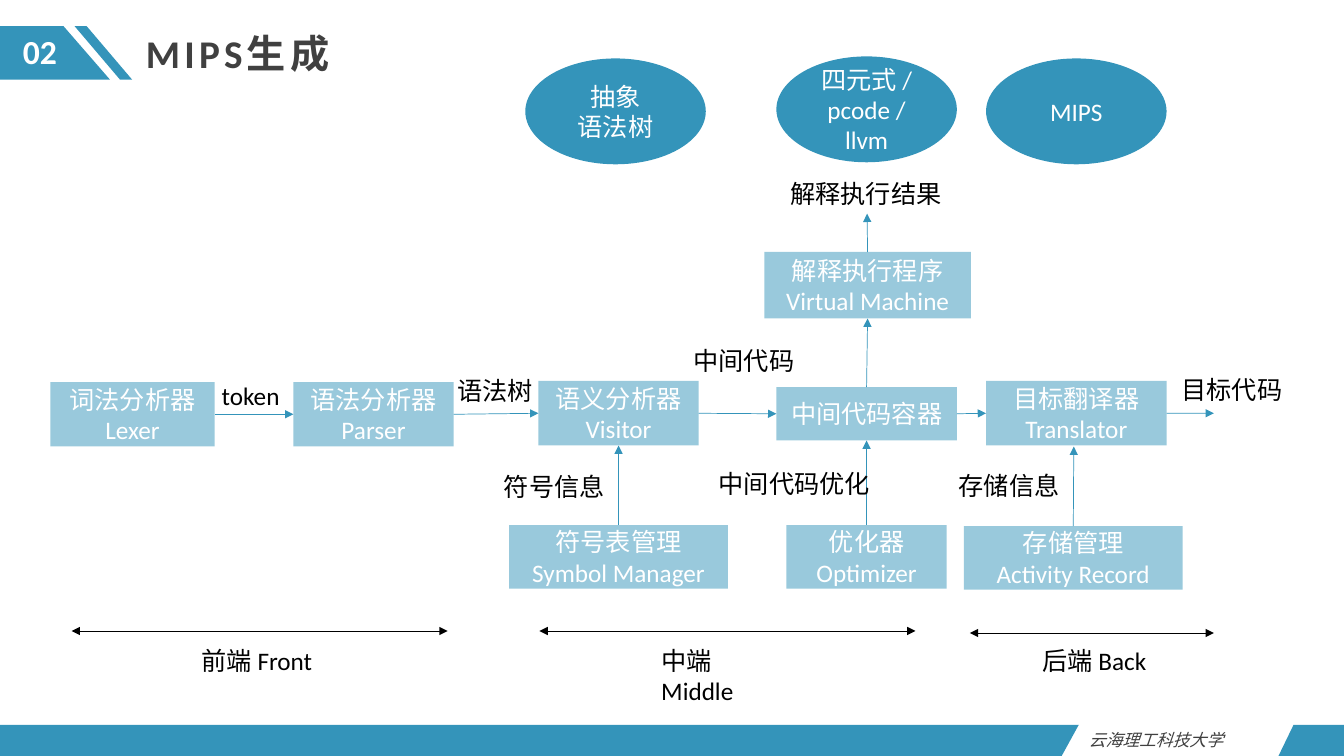
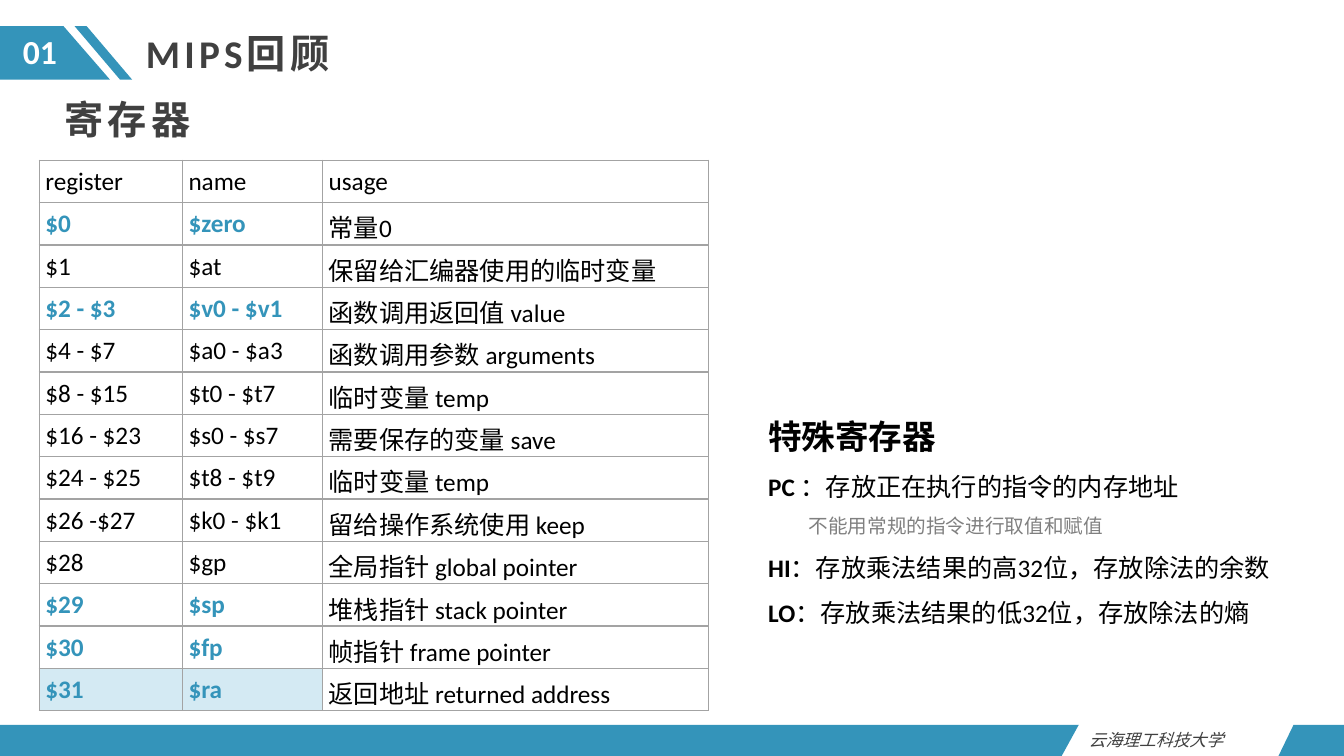
from lxml.etree import SubElement as Sub
from pptx import Presentation
from pptx.dml.color import RGBColor as RGB
from pptx.enum.shapes import MSO_CONNECTOR as Conn, MSO_SHAPE as Kind
from pptx.enum.text import MSO_ANCHOR as Anchor, MSO_AUTO_SIZE as Auto, PP_ALIGN as Align
from pptx.oxml.ns import qn
from pptx.util import Inches, Pt

COLORS = {"blue": "3494BA", "pale": "D4EAF3", "white": "FFFFFF", "black": "000000",
          "dark": "404040", "gray": "808080", "rule": "A3A3A3"}
BODY = {"name": "Calibri", "size": Pt(18), "bold": False, "color": "black"}
TITLE = {"size": Pt(28), "bold": True, "color": "dark", "spc": 300}
BADGE = {"size": Pt(24), "bold": True, "color": "white"}
FOOT = {"size": Pt(12), "italic": True, "color": "dark"}
WHITE = {"color": "white"}
BOLD = {"bold": True}
KEY = {"bold": True, "color": "blue"}
TOP, LEFT, BOTTOM, RIGHT = range(4)

BANDS = [
    [(0, 0.26), (0.63, 0.26), (1.09, 0.79), (0, 0.79)],
    [(0.86, 0.26), (1.31, 0.79), (1.19, 0.79), (0.74, 0.26)],
    [(0, 7.19), (10.7, 7.19), (10.53, 7.5), (0, 7.5)],
    [(12.83, 7.19), (13.33, 7.19), (13.33, 7.5), (12.68, 7.5)],
]

NODES = {
    "lexer": ((0.5, 3.79, 1.63, 0.64), ["词法分析器", "Lexer"]),
    "parser": ((2.91, 3.79, 1.59, 0.64), ["语法分析器", "Parser"]),
    "visitor": ((5.34, 3.78, 1.59, 0.64), ["语义分析器", "Visitor"]),
    "code": ((7.7, 3.84, 1.79, 0.53), ["中间代码容器"]),
    "target": ((9.78, 3.78, 1.79, 0.64), ["目标翻译器", "Translator"]),
    "machine": ((7.58, 2.5, 2.05, 0.66), ["解释执行程序", "Virtual Machine"]),
    "symbols": ((5.05, 5.21, 2.17, 0.63), ["符号表管理Symbol Manager"]),
    "tuner": ((7.8, 5.21, 1.59, 0.63), ["优化器", "Optimizer"]),
    "store": ((9.56, 5.22, 2.17, 0.63), ["存储管理", "Activity Record"]),
}
# Each end is a point or a (node, side) pair.
LINKS = [
    (("lexer", RIGHT), ("parser", LEFT)),
    (("parser", RIGHT), ("visitor", LEFT)),
    (("visitor", RIGHT), ("code", LEFT)),
    (("code", RIGHT), ("target", LEFT)),
    (("target", RIGHT), (12.04, 4.1)),
    (("code", TOP), ("machine", BOTTOM)),
    (("machine", TOP), (8.6, 2.12)),
    (("tuner", TOP), ("code", BOTTOM)),
    (("symbols", TOP), ("visitor", BOTTOM)),
    (("store", TOP), (10.65, 4.43)),
]
LABELS = [
    ("token", 2.1, 3.72, 0.82), ("语法树", 4.44, 3.67, 0.96),
    ("中间代码", 6.78, 3.38, 1.21), ("解释执行结果", 7.74, 1.72, 1.72),
    ("中间代码优化", 7.03, 4.6, 1.72), ("目标代码", 11.62, 3.66, 1.21),
    ("符号信息", 4.9, 4.63, 1.21), ("存储信息", 9.41, 4.62, 1.21),
    ("前端 Front", 1.9, 6.35, 1.37), ("后端 Back", 10.24, 6.35, 1.34),
]
SPANS = [(0.71, 4.44, 6.26), (5.35, 9.08, 6.26), (9.62, 12.04, 6.28)]
FORMS = [
    (5.21, 0.58, ["抽象", "语法树"]),
    (7.7, 0.56, ["四元式 / pcode / llvm"]),
    (9.78, 0.58, ["MIPS"]),
]
ROWS = [
    ("register", "name", "usage"),
    ("$0", "$zero", "常量0"),
    ("$1", "$at", "保留给汇编器使用的临时变量"),
    ("$2 - $3", "$v0 - $v1", "函数调用返回值 value"),
    ("$4 - $7", "$a0 - $a3", "函数调用参数 arguments"),
    ("$8 - $15", "$t0 - $t7", "临时变量 temp"),
    ("$16 - $23", "$s0 - $s7", "需要保存的变量 save"),
    ("$24 - $25", "$t8 - $t9", "临时变量 temp"),
    ("$26 -$27", "$k0 - $k1", "留给操作系统使用 keep"),
    ("$28", "$gp", "全局指针 global pointer"),
    ("$29", "$sp", "堆栈指针 stack pointer"),
    ("$30", "$fp", "帧指针 frame pointer"),
    ("$31", "$ra", "返回地址 returned address"),
]
KEYS = {"$0", "$2 - $3", "$29", "$30", "$31"}
NOTES = [
    [("特殊寄存器", {"size": Pt(24), "bold": True})],
    [("PC ", BOLD), ("：存放正在执行的指令的内存地址", {})],
    [("不能用常规的指令进行取值和赋值", {"size": Pt(14), "color": "gray"})],
    [("HI", BOLD), ("：存放乘法结果的高32位，存放除法的余数", {})],
    [("LO", BOLD), ("：存放乘法结果的低32位，存放除法的熵", {})],
]


def color(name):
    return RGB.from_string(COLORS[name])


class Deck:
    def __init__(self):
        self.prs = Presentation()
        self.prs.slide_width, self.prs.slide_height = Inches(13.33), Inches(7.5)

    def start(self, num, title):
        """Add a slide with the shared bands, badge, title and footer."""
        self.shapes = self.prs.slides.add_slide(self.prs.slide_layouts[6]).shapes
        for pts in BANDS:
            self.band(pts)
        self.text((0, 0.26, 0.79, 0.5), [num], BADGE, Align.CENTER)
        self.text((1.35, 0.24, 3.54, 0.57), [title], TITLE)
        self.text((10.7, 7.19, 1.98, 0.3), ["云海理工科技大学"], FOOT, Align.JUSTIFY)

    def put(self, frame, paras, style, align=None):
        """Fill a frame; a paragraph is a string or a list of (text, format) runs."""
        for i, para in enumerate(paras):
            par = frame.add_paragraph() if i else frame.paragraphs[0]
            par.alignment = align
            for text, extra in [(para, {})] if isinstance(para, str) else para:
                run = par.add_run()
                run.text = text
                for key, val in {**BODY, **style, **extra}.items():
                    if key == "color":
                        run.font.color.rgb = color(val)
                    elif key == "spc":
                        run._r.get_or_add_rPr().set("spc", str(val))
                    else:
                        setattr(run.font, key, val)

    def text(self, box, paras, style={}, align=None, wrap=True):
        frame = self.shapes.add_textbox(*map(Inches, box)).text_frame
        frame.word_wrap = wrap
        frame.auto_size = Auto.SHAPE_TO_FIT_TEXT
        self.put(frame, paras, style, align)
        return frame

    def paint(self, shape, alpha=None):
        shape.shadow.inherit = False
        shape.line.fill.background()
        shape.fill.solid()
        shape.fill.fore_color.rgb = color("blue")
        if alpha:
            tone = shape._element.spPr.find(qn("a:solidFill"))[0]
            Sub(tone, qn("a:alpha"), val=str(alpha * 1000))

    def band(self, pts):
        pts = [(Inches(x), Inches(y)) for x, y in pts]
        form = self.shapes.build_freeform(*pts[0])
        form.add_line_segments(pts[1:], close=True)
        self.paint(form.convert_to_shape())

    def node(self, box, paras, kind=Kind.RECTANGLE, alpha=None):
        shape = self.shapes.add_shape(kind, *map(Inches, box))
        self.paint(shape, alpha)
        frame = shape.text_frame
        frame.word_wrap = True
        frame.vertical_anchor = Anchor.MIDDLE
        self.put(frame, paras, WHITE, Align.CENTER)
        return shape

    def arrow(self, start, end, tone="blue", both=False):
        """Draw an arrow; each end is a point or a (shape, side) pair."""
        free = [(0, 0) if hasattr(p[0], "shape_id") else p for p in (start, end)]
        line = self.shapes.add_connector(
            Conn.STRAIGHT, *(Inches(v) for p in free for v in p))
        for p, join in ((start, line.begin_connect), (end, line.end_connect)):
            if hasattr(p[0], "shape_id"):
                join(*p)
        line.line.color.rgb = color(tone)
        line.line.width = Pt(0.5)
        ln = line.line._get_or_add_ln()
        for tip in ("headEnd", "tailEnd") if both else ("tailEnd",):
            Sub(ln, qn("a:" + tip), type="triangle")
        Sub(line._element.spPr, qn("a:effectLst"))

    def table(self, left, top, cols, high, rows):
        grid = self.shapes.add_table(
            len(rows), len(cols), Inches(left), Inches(top),
            Inches(sum(cols)), Inches(high * len(rows))).table
        grid.first_row = grid.horz_banding = False
        for col, wide in zip(grid.columns, cols):
            col.width = Inches(wide)
        for r, row in enumerate(rows):
            grid.rows[r].height = Inches(high)
            for c, text in enumerate(row):
                key = c < 2 and row[0] in KEYS
                self.cell(grid.cell(r, c), text, KEY if key else {},
                          key and r == len(rows) - 1)

    def cell(self, cell, text, style, lit):
        for side in ("left", "right", "top", "bottom"):
            setattr(cell, "margin_" + side, Inches(0.06))
        self.put(cell.text_frame, [text], style)
        props = cell._tc.get_or_add_tcPr()
        for tag in ("lnL", "lnR", "lnT", "lnB"):
            ln = Sub(props, qn("a:" + tag), w=str(Pt(1)))
            Sub(Sub(ln, qn("a:solidFill")), qn("a:srgbClr"), val=COLORS["rule"])
        if lit:
            cell.fill.solid()
            cell.fill.fore_color.rgb = color("pale")
        else:
            cell.fill.background()


def flow(deck):
    deck.start("02", "MIPS生成")
    nodes = {key: deck.node(box, paras, alpha=50) for key, (box, paras) in NODES.items()}
    for ends in LINKS:
        deck.arrow(*((nodes.get(a, a), b) for a, b in ends))
    for text, x, y, wide in LABELS:
        deck.text((x, y, wide, 0.4), [text], wrap=False)
    deck.text((6.46, 6.35, 1.52, 0.7), ["中端", "Middle"])
    for x1, x2, y in SPANS:
        deck.arrow((x1, y), (x2, y), "black", both=True)
    for x, y, paras in FORMS:
        deck.node((x, y, 1.79, 1.05), paras, Kind.OVAL)


def review(deck):
    deck.start("01", "MIPS回顾")
    deck.table(0.39, 1.59, (1.42, 1.39, 3.83), 0.41, ROWS)
    deck.text((0.54, 0.9, 3.54, 0.57), ["寄存器"], TITLE)
    pars = deck.text((7.52, 4.08, 5.31, 2.28), NOTES).paragraphs
    for par in pars[1:]:
        par.line_spacing = 1.5
    pars[2]._p.get_or_add_pPr().set("marL", str(Inches(0.4)))


def main():
    deck = Deck()
    flow(deck)
    review(deck)
    deck.prs.save("out.pptx")


if __name__ == "__main__":
    main()
